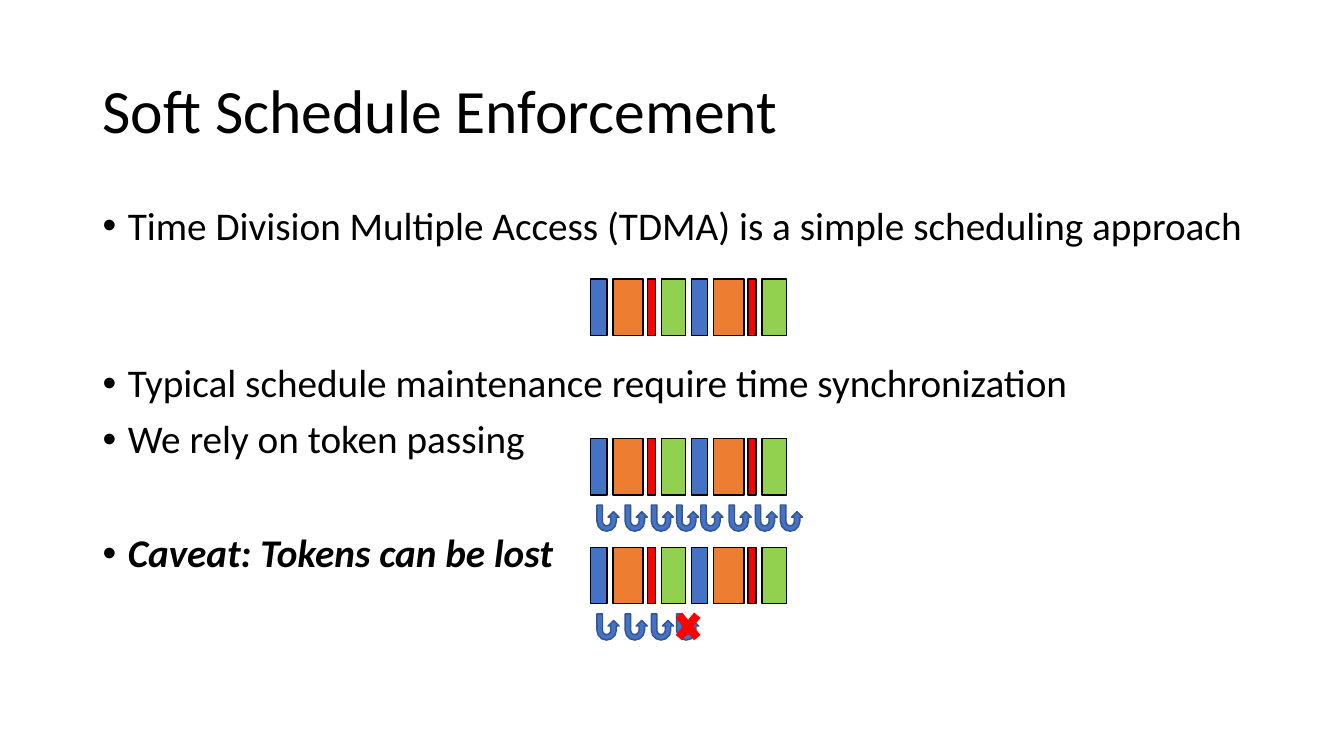
"""Build a slide on soft schedule enforcement with token passing."""
from dataclasses import dataclass

from lxml import etree
from pptx import Presentation, util as u
from pptx.dml.color import RGBColor
from pptx.enum import shapes, text
from pptx.oxml import ns
from pptx.shapes.autoshape import Shape
from pptx.shapes.group import GroupShape
from pptx.text.text import TextFrame

BLACK = RGBColor(0x00, 0x00, 0x00)
BLUE = RGBColor(0x44, 0x72, 0xC4)
DARK_BLUE = RGBColor(0x32, 0x54, 0x91)
ORANGE = RGBColor(0xED, 0x7D, 0x31)
RED = RGBColor(0xFF, 0x00, 0x00)
GREEN = RGBColor(0x92, 0xD0, 0x50)

FONT = "Calibri"
SCHEDULE_LEFT = 5.86
SLOT_HEIGHT = 0.56
SLOT_PERIOD = 1.0
TOKEN_DROP = 0.66
TOKEN_PERIOD = 1.03
TOKEN_OFFSETS = (0.06, 0.34, 0.6, 0.85)


@dataclass(frozen=True)
class Slot:
    offset: float
    width: float
    color: RGBColor


@dataclass(frozen=True)
class Schedule:
    top: float
    tokens: int = 0
    token_lost: bool = False


@dataclass(frozen=True)
class Bullet:
    wording: str
    space_before: float = 0
    emphasis: bool = False


SLOTS = (
    Slot(0, 0.16, BLUE),
    Slot(0.22, 0.3, ORANGE),
    Slot(0.56, 0.08, RED),
    Slot(0.7, 0.24, GREEN),
)
SCHEDULES = (
    Schedule(2.77),
    Schedule(4.35, tokens=8),
    Schedule(5.43, tokens=4, token_lost=True),
)
BULLETS = (
    Bullet("Time Division Multiple Access (TDMA) is a simple scheduling approach"),
    Bullet("Typical schedule maintenance require time synchronization", 82),
    Bullet("We rely on token passing", 10),
    Bullet("Caveat: Tokens can be lost", 51, emphasis=True),
)


def add_box(page, left: float, top: float, width: float, height: float,
            anchor=text.MSO_ANCHOR.TOP) -> TextFrame:
    """Add a wrapping text box and return its frame."""
    box = page.shapes.add_textbox(*map(u.Inches, (left, top, width, height)))
    frame = box.text_frame
    frame.word_wrap = True
    frame.vertical_anchor = anchor
    return frame


def write(frame: TextFrame, wording: str, *, size: float, first: bool = True,
          space_before: float = 0, emphasis: bool = False, bullet: bool = False) -> None:
    """Write one formatted paragraph into a frame."""
    para = frame.paragraphs[0] if first else frame.add_paragraph()
    para.line_spacing = 0.9
    para.space_before = u.Pt(space_before)
    if bullet:
        props = para._p.get_or_add_pPr()
        props.set("marL", str(u.Inches(0.25)))
        props.set("indent", str(u.Inches(-0.25)))
        etree.SubElement(props, ns.qn("a:buFont"), typeface="Arial")
        etree.SubElement(props, ns.qn("a:buChar"), char="•")
    span = para.add_run()
    span.text = wording
    span.font.name = FONT
    span.font.size = u.Pt(size)
    span.font.color.rgb = BLACK
    if emphasis:
        span.font.bold = span.font.italic = True


def add_figure(group: GroupShape, kind: shapes.MSO_SHAPE, left: float, top: float,
               width: float, height: float, fill: RGBColor,
               line: RGBColor | None = None) -> Shape:
    """Add a filled preset shape to a group."""
    figure = group.shapes.add_shape(kind, *map(u.Inches, (left, top, width, height)))
    figure.shadow.inherit = False
    figure.fill.solid()
    figure.fill.fore_color.rgb = fill
    if line is None:
        figure.line.fill.background()
    else:
        figure.line.color.rgb = line
        figure.line.width = u.Pt(1)
    return figure


def add_schedule(page, schedule: Schedule) -> None:
    """Draw two rounds of time slots and the tokens passed below them."""
    group = page.shapes.add_group_shape()
    for cycle in range(2):
        for slot in SLOTS:
            left = SCHEDULE_LEFT + cycle * SLOT_PERIOD + slot.offset
            add_figure(group, shapes.MSO_SHAPE.RECTANGLE, left, schedule.top,
                       slot.width, SLOT_HEIGHT, slot.color, BLACK)
    for index in range(schedule.tokens):
        cycle, place = divmod(index, len(TOKEN_OFFSETS))
        left = SCHEDULE_LEFT + cycle * TOKEN_PERIOD + TOKEN_OFFSETS[place]
        token = add_figure(group, shapes.MSO_SHAPE.U_TURN_ARROW, left,
                           schedule.top + TOKEN_DROP, 0.22, 0.26, BLUE, DARK_BLUE)
        token.rotation = 180
        token._element.spPr.xfrm.set("flipH", "1")
    if schedule.token_lost:
        add_figure(group, shapes.MSO_SHAPE.MATH_MULTIPLY, 6.65, schedule.top + 0.57,
                   0.35, 0.43, RED)


def main() -> None:
    """Build and save the deck."""
    deck = Presentation()
    deck.slide_width, deck.slide_height = u.Inches(13.33), u.Inches(7.5)
    page = deck.slides.add_slide(deck.slide_layouts[6])
    title = add_box(page, 0.92, 0.4, 11.5, 1.45, text.MSO_ANCHOR.MIDDLE)
    write(title, "Soft Schedule Enforcement", size=44)
    body = add_box(page, 0.92, 2, 11.9, 4.76)
    for index, bullet in enumerate(BULLETS):
        write(body, bullet.wording, size=28, first=index == 0, bullet=True,
              space_before=bullet.space_before, emphasis=bullet.emphasis)
    for schedule in SCHEDULES:
        add_schedule(page, schedule)
    deck.save("out.pptx")


if __name__ == "__main__":
    main()
